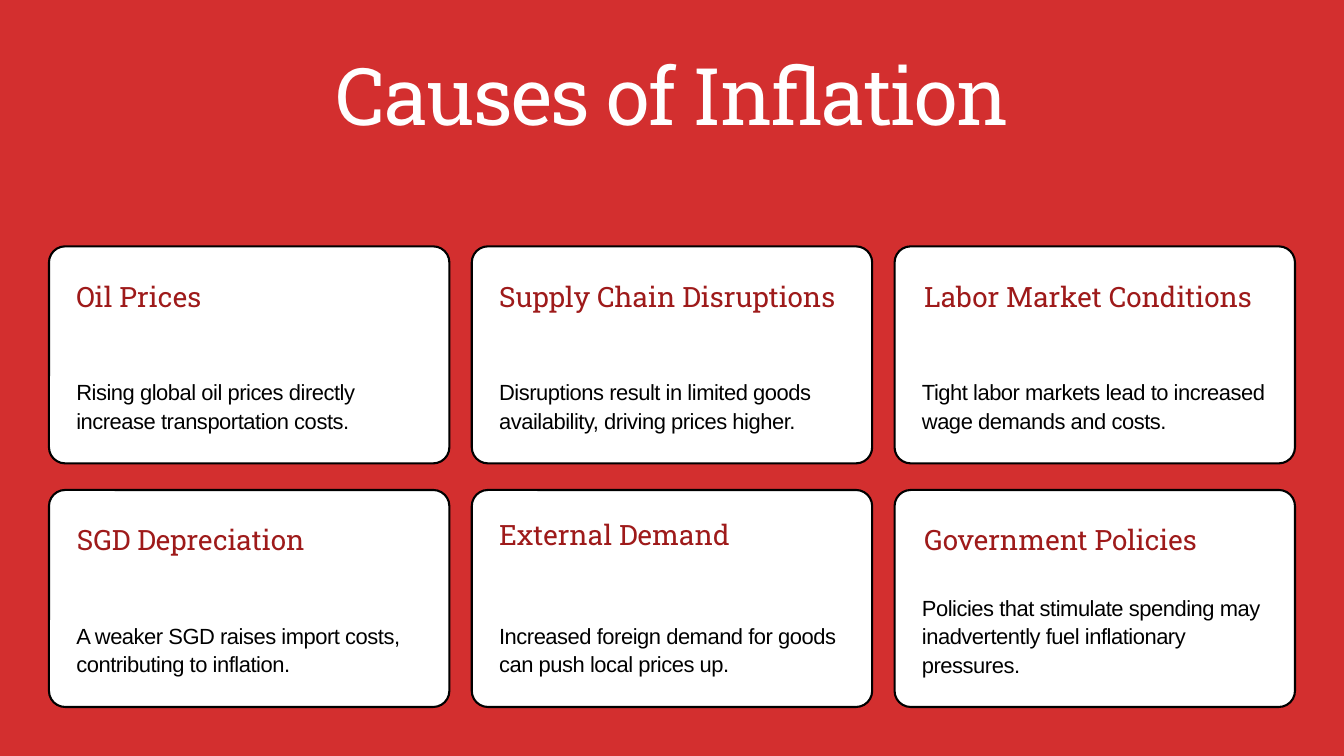
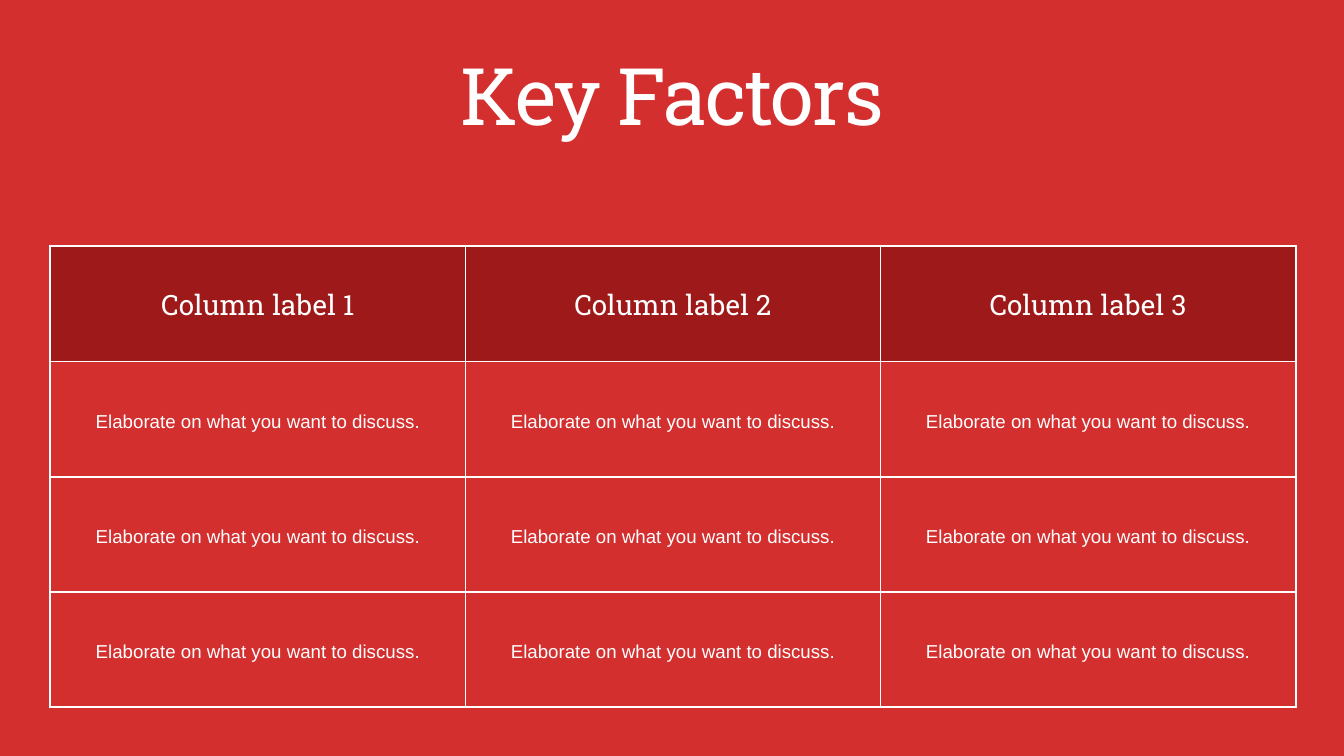
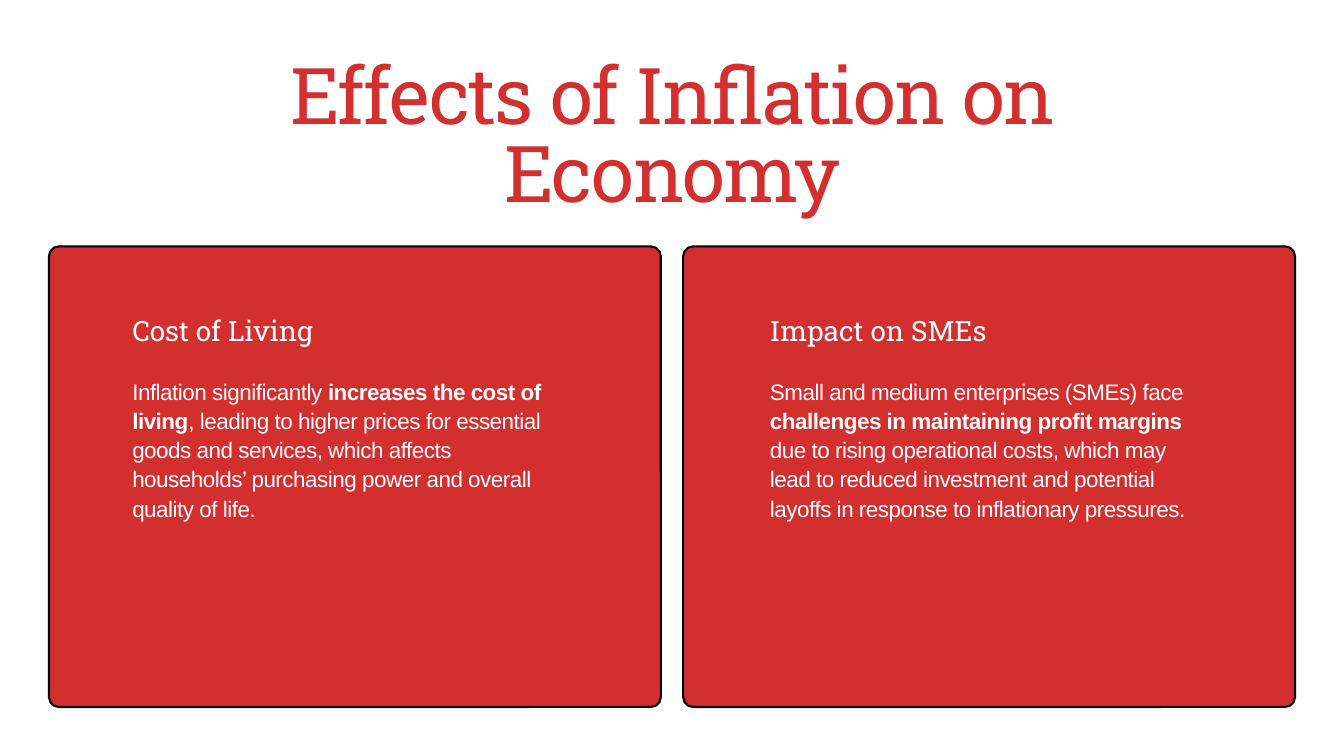
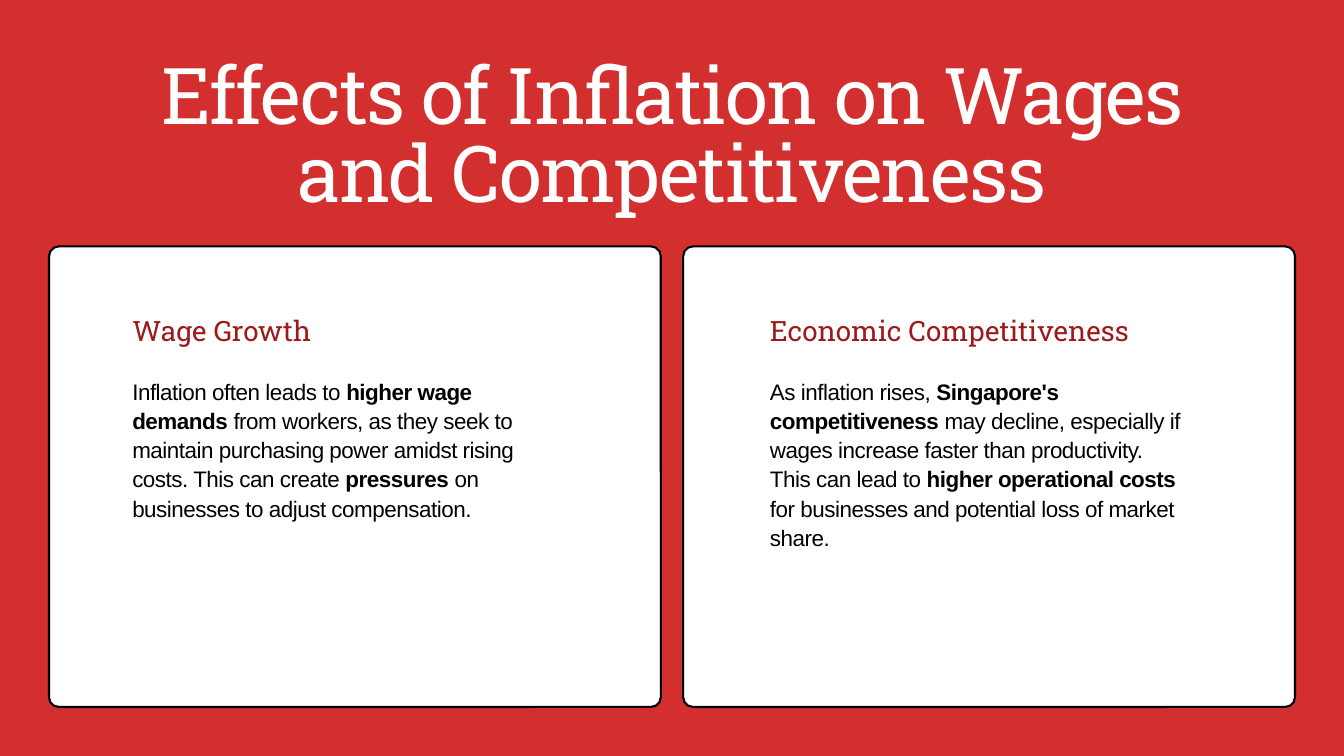
"""Build four slides on the causes and effects of inflation."""
from dataclasses import dataclass

from lxml import etree
from pptx import Presentation
from pptx import util as u
from pptx.dml.color import RGBColor
from pptx.enum import shapes, text
from pptx.oxml import ns

PX = 9525
SLIDE_W, SLIDE_H = 1920, 1080
CONTENT = (70, 352, 1780, 658)
COL_GAP, ROW_GAP = 32, 38


@dataclass(frozen=True)
class Theme:
    """Colours, fonts, type styles and line width shared by the slides."""
    red: str = "D32F2F"
    dark: str = "9E1A1A"
    white: str = "FFFFFF"
    black: str = "000000"
    serif: str = "Roboto Slab"
    sans: str = "Arial"
    border: float = 2.25

    def title(self, size=85):
        """Return the slide title style."""
        return dict(font=self.serif, size=size, leading=size, spacing=-1.7,
                    align=text.PP_ALIGN.CENTER)

    def heading(self, leading=39):
        """Return the style of card headings and column labels."""
        return dict(font=self.serif, size=30, leading=leading)

    def body(self, size, leading, spacing=-0.5):
        """Return a running text style."""
        return dict(font=self.sans, size=size, leading=leading, spacing=spacing)


T = Theme()


@dataclass(frozen=True)
class Card:
    """Hold the text of a cause, its body line count and its heading offset."""
    title: str
    body: str
    lines: int = 2
    dx: int = 0
    dy: int = 0


CAUSES = [
    Card("Oil Prices",
         "Rising global oil prices directly increase transportation costs."),
    Card("Supply Chain Disruptions",
         "Disruptions result in limited goods availability, driving prices higher."),
    Card("Labor Market Conditions",
         "Tight labor markets lead to increased wage demands and costs.", dx=3),
    Card("SGD Depreciation",
         "A weaker SGD raises import costs, contributing to inflation.", dx=1),
    Card("External Demand",
         "Increased foreign demand for goods can push local prices up.", dy=-8),
    Card("Government Policies",
         "Policies that stimulate spending may inadvertently fuel inflationary "
         "pressures.", lines=3, dx=3),
]
FACTORS = [[f"Column label {n}" for n in (1, 2, 3)]]
FACTORS += [["Elaborate on what you want to discuss."] * 3] * 3
ECONOMY = [
    ("Cost of Living",
     "Inflation significantly **increases the cost of living**, leading to higher "
     "prices for essential goods and services, which affects households’ purchasing "
     "power and overall quality of life."),
    ("Impact on SMEs",
     "Small and medium enterprises (SMEs) face **challenges in maintaining profit "
     "margins** due to rising operational costs, which may lead to reduced investment "
     "and potential layoffs in response to inflationary pressures."),
]
WAGES = [
    ("Wage Growth",
     "Inflation often leads to **higher wage demands** from workers, as they seek to "
     "maintain purchasing power amidst rising costs. This can create **pressures** on "
     "businesses to adjust compensation."),
    ("Economic Competitiveness",
     "As inflation rises, **Singapore's competitiveness** may decline, especially if "
     "wages increase faster than productivity. This can lead to **higher operational "
     "costs** for businesses and potential loss of market share."),
]


def rgb(color):
    """Turn a hex string into a colour."""
    return RGBColor.from_string(color)


def emu(*lengths):
    """Scale px lengths to EMU."""
    return [u.Emu(round(n * PX)) for n in lengths]


def write(tf, content, *, font, size, leading, color, spacing=0,
          align=text.PP_ALIGN.LEFT):
    """Write one paragraph, with ** marking where bold starts and ends."""
    p = tf.paragraphs[0]
    p.alignment, p.line_spacing = align, u.Pt(leading)
    for i, part in enumerate(content.split("**")):
        r = p.add_run()
        r.text = part
        r.font.name, r.font.size, r.font.bold = font, u.Pt(size), i % 2 == 1
        r.font.color.rgb = rgb(color)
        if spacing:
            r.font._element.set("spc", str(round(spacing * 100)))


def fit_frame(tf):
    """Give a text frame no insets, top anchoring and automatic height."""
    tf.margin_left = tf.margin_top = tf.margin_right = tf.margin_bottom = 0
    tf.vertical_anchor = text.MSO_ANCHOR.TOP
    tf.word_wrap = True
    tf.auto_size = text.MSO_AUTO_SIZE.SHAPE_TO_FIT_TEXT


def add_text(s, box, content, **style):
    """Add a text box."""
    tf = s.shapes.add_textbox(*emu(*box)).text_frame
    fit_frame(tf)
    write(tf, content, **style)


def add_panel(s, box, radius, fill):
    """Add an outlined rounded panel."""
    sp = s.shapes.add_shape(shapes.MSO_SHAPE.ROUNDED_RECTANGLE, *emu(*box))
    sp.adjustments[0] = radius / min(box[2:])
    sp.shadow.inherit = False
    sp.fill.solid()
    sp.fill.fore_color.rgb = rgb(fill)
    sp.line.color.rgb = rgb(T.black)
    sp.line.width = u.Pt(T.border)


def grid(box, cols, rows=1):
    """Yield the cells of an evenly spaced grid, row by row."""
    x, y, w, h = box
    cw = (w - COL_GAP * (cols - 1)) // cols
    ch = (h - ROW_GAP * (rows - 1)) // rows
    for row in range(rows):
        for col in range(cols):
            yield x + col * (cw + COL_GAP), y + row * (ch + ROW_GAP), cw, ch


def new_slide(prs, title, background, color, *, size=85, width=1480, height=118):
    """Add a slide with a coloured background and a centred title."""
    s = prs.slides.add_slide(prs.slide_layouts[5])
    s.background.fill.solid()
    s.background.fill.fore_color.rgb = rgb(background)
    sp = s.shapes.title
    sp.left, sp.top, sp.width, sp.height = emu((SLIDE_W - width) // 2, 88, width, height)
    fit_frame(sp.text_frame)
    write(sp.text_frame, title, color=color, **T.title(size))
    return s


def cause_card(s, box, card):
    """Draw a cause with its heading at the top and its body at the bottom."""
    x, y, w, _ = box
    add_panel(s, box, 23, T.white)
    add_text(s, (x + 39 + card.dx, y + 43 + card.dy, w - 76, 51), card.title,
             color=T.dark, **T.heading())
    height = 40 * card.lines
    add_text(s, (x + 39, y + 266 - height, w - 76, height), card.body,
             color=T.black, **T.body(23.5, 30.6))


def effect_panel(s, box, inset, effect, fill, heading_color, body_color):
    """Draw an effect with its heading directly above its body."""
    x, y, _, _ = box
    heading, body = effect
    add_panel(s, box, 14, fill)
    add_text(s, (x + inset, y + 92, 597, 50), heading, color=heading_color,
             **T.heading())
    add_text(s, (x + inset, y + 185, 597, 205), body, color=body_color,
             **T.body(24, 31.2))


def set_borders(cell):
    """Draw a white line on every side of a table cell."""
    tc_pr = cell._tc.get_or_add_tcPr()
    for side in "LRTB":
        ln = etree.SubElement(tc_pr, ns.qn(f"a:ln{side}"), w=str(u.Pt(T.border)))
        fill = etree.SubElement(ln, ns.qn("a:solidFill"))
        etree.SubElement(fill, ns.qn("a:srgbClr"), val=T.white)


def factor_table(s, box, rows):
    """Draw the bordered table with a dark header row."""
    table = s.shapes.add_table(len(rows), len(rows[0]), *emu(*box)).table
    table.first_row = table.horz_banding = False
    for i, row in enumerate(rows):
        style = T.body(20, 28, 0) if i else T.heading(42)
        for j, label in enumerate(row):
            cell = table.cell(i, j)
            set_borders(cell)
            cell.fill.solid()
            cell.fill.fore_color.rgb = rgb(T.red if i else T.dark)
            cell.vertical_anchor = text.MSO_ANCHOR.MIDDLE
            cell.margin_left = cell.margin_right = u.Emu(20 * PX)
            cell.margin_top = cell.margin_bottom = u.Emu(20 * PX)
            write(cell.text_frame, label, color=T.white,
                  align=text.PP_ALIGN.CENTER, **style)


def causes_slide(prs):
    """Build the slide with six causes."""
    s = new_slide(prs, "Causes of Inflation", T.red, T.white)
    for box, card in zip(grid(CONTENT, 3, 2), CAUSES):
        cause_card(s, box, card)


def factors_slide(prs):
    """Build the slide with the table of factors."""
    s = new_slide(prs, "Key Factors", T.red, T.white, width=1780)
    x, y, w, h = CONTENT
    factor_table(s, (x + 2, y, w - 1, h), FACTORS)


def effects_slide(prs, title, effects, background, color, panel_colors, height):
    """Build a slide with two effects side by side."""
    s = new_slide(prs, title, background, color, size=83.9, height=height)
    for box, inset, effect in zip(grid(CONTENT, 2), (119, 124), effects):
        effect_panel(s, box, inset, effect, *panel_colors)


def main():
    """Build and save the presentation."""
    prs = Presentation()
    prs.slide_width, prs.slide_height = emu(SLIDE_W, SLIDE_H)
    causes_slide(prs)
    factors_slide(prs)
    effects_slide(prs, "Effects of Inflation on Economy", ECONOMY,
                  T.white, T.red, (T.red, T.white, T.white), 116)
    effects_slide(prs, "Effects of Inflation on Wages and Competitiveness", WAGES,
                  T.red, T.white, (T.white, T.dark, T.black), 228)
    prs.save("out.pptx")


if __name__ == "__main__":
    main()
